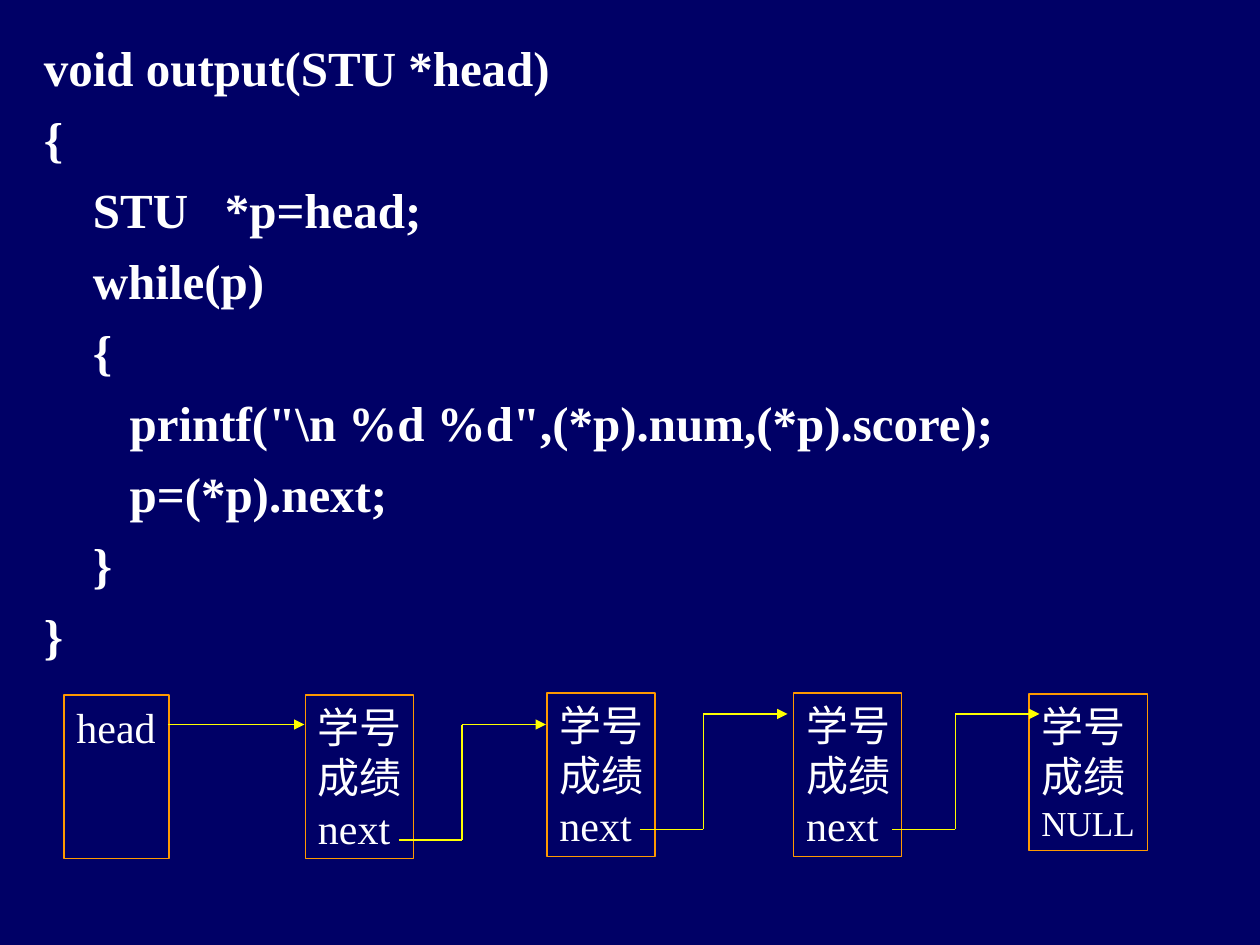
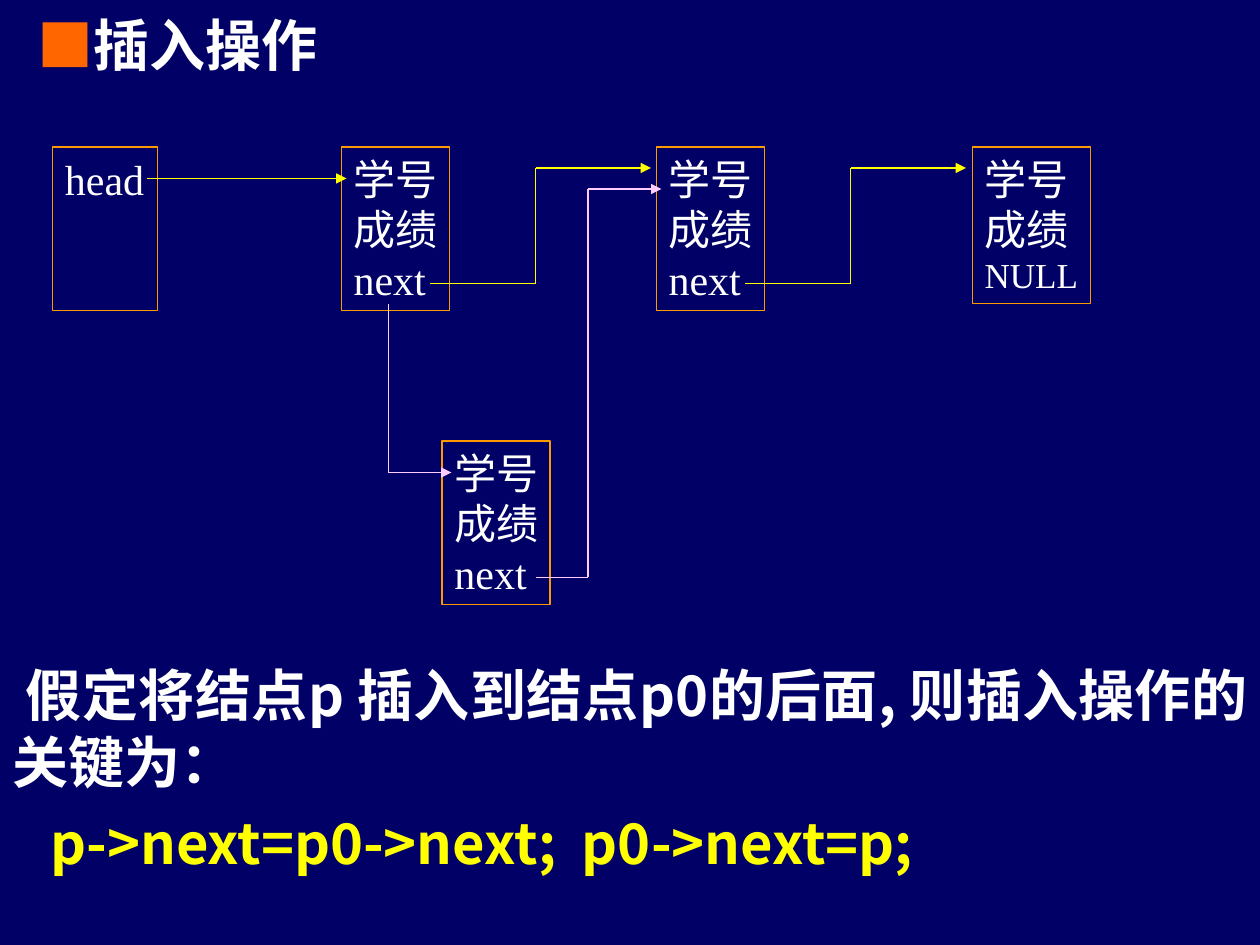
from dataclasses import dataclass
from itertools import pairwise

from lxml import etree
from pptx import Presentation
from pptx.dml.color import RGBColor
from pptx.enum.shapes import MSO_CONNECTOR, MSO_SHAPE
from pptx.enum.text import MSO_ANCHOR, PP_ALIGN
from pptx.oxml.ns import qn
from pptx.util import Inches, Pt

RECT = MSO_SHAPE.RECTANGLE
LINE = MSO_CONNECTOR.STRAIGHT
TOP = MSO_ANCHOR.TOP
LEFT, JUST = PP_ALIGN.LEFT, PP_ALIGN.JUSTIFY
CELL = Inches(1) / 12  # the slide is 120 columns by 90 rows


@dataclass(frozen=True)
class Theme:
    back: str = "000066"
    text: str = "FFFFFF"
    mark: str = "FF6600"
    edge: str = "FF9900"
    link: str = "FFFF00"
    fresh: str = "FFCCFF"
    serif: str = "Times New Roman"
    sans: str = "Noto Sans CJK SC"
    title: int = 32
    code: int = 28
    node: int = 24
    null: int = 20
    line: float = 0.75
    lead: float = 1.2


def grid(*cells):
    return [round(cell * CELL) for cell in cells]


class Deck:
    def __init__(self, theme):
        self.theme = theme
        self.file = Presentation()
        self.file.slide_width, self.file.slide_height = grid(120, 90)
        self.slide = None

    def page(self):
        self.slide = self.file.slides.add_slide(self.file.slide_layouts[6])
        fill = self.slide.background.fill
        fill.solid()
        fill.fore_color.rgb = RGBColor.from_string(self.theme.back)

    def style(self, para, size, face, color, bold=False, align=LEFT, gap=0):
        font = para.font
        font.size, font.bold, font.name = Pt(size), bold, face
        font.color.rgb = RGBColor.from_string(color)
        east = etree.Element(qn("a:ea"), typeface=self.theme.sans)
        font._element.find(qn("a:latin")).addnext(east)
        para.alignment = align
        para.line_spacing = Pt(size * self.theme.lead)
        para.space_before, para.space_after = Pt(0), Pt(gap)

    def indent(self, para, left=0, first=0):
        """Shift a whole paragraph, and its first line further, in cells."""
        props = para._p.get_or_add_pPr()
        for name, cells in (("marL", left), ("indent", first)):
            props.set(name, str(grid(cells)[0]))

    def lines(self, frame, texts):
        frame.text = "\n".join(texts)
        return frame.paragraphs

    def box(self, x, y, wide, high):
        frame = self.slide.shapes.add_textbox(*grid(x, y, wide, high)).text_frame
        frame.word_wrap = True
        frame.vertical_anchor = TOP
        return frame

    def code(self, rows):
        """Write (indent in cells, text) rows of source code."""
        look = self.theme
        frame = self.box(3, 3, 99, 62)
        paras = self.lines(frame, [text for _, text in rows])
        for para, (left, _) in zip(paras, rows):
            self.style(para, look.code, look.serif, look.text, True, JUST, 7)
            self.indent(para, left)

    def title(self, text):
        look = self.theme
        para = self.box(0, 0.4, 120, 8).paragraphs[0]
        self.style(para, look.title, look.sans, look.text, True)
        self.indent(para, 2.4)
        mark = para.add_run()
        mark.text = "■"
        mark.font.color.rgb = RGBColor.from_string(look.mark)
        para.add_run().text = text

    def note(self, text, key):
        look = self.theme
        paras = self.lines(self.box(0, 62.3, 120, 24.7), [text, key])
        for para, color, first in zip(paras, (look.text, look.link), (1.3, 3.6)):
            self.style(para, look.title, look.sans, color, True, JUST, 8)
            self.indent(para, first=first)

    def node(self, x, y, texts, wide=10.3, high=15.6):
        look = self.theme
        shape = self.slide.shapes.add_shape(RECT, *grid(x, y, wide, high))
        shape.shadow.inherit = False
        shape.fill.background()
        shape.line.color.rgb = RGBColor.from_string(look.edge)
        shape.line.width = Pt(look.line)
        frame = shape.text_frame
        frame.word_wrap = False
        frame.vertical_anchor = TOP
        for para, text in zip(self.lines(frame, texts), texts):
            size = look.null if text == "NULL" else look.node
            self.style(para, size, look.serif, look.text)

    def chain(self, head, items, tail):
        """Draw a linked list: head box, data nodes and the closing node."""
        self.node(*head, ["head"], wide=10)
        for spot in items:
            self.node(*spot, ["学号", "成绩", "next"])
        self.node(*tail, ["学号", "成绩", "NULL"], 11.3, 14.9)

    def route(self, color, *points):
        """Join points with straight lines, the last one ending in an arrow."""
        for start, end in pairwise(points):
            wire = self.slide.shapes.add_connector(LINE, *grid(*start, *end))
            wire.line.color.rgb = RGBColor.from_string(color)
            wire.line.width = Pt(self.theme.line)
            etree.SubElement(wire._element.spPr, qn("a:effectLst"))
        etree.SubElement(wire.line._get_or_add_ln(), qn("a:tailEnd"), type="triangle")

    def step(self, color, start, turn, end):
        """Route across to the turn column, along it, then across to the end."""
        self.route(color, start, (turn, start[1]), (turn, end[1]), end)


def output(deck):
    link = deck.theme.link
    deck.page()
    deck.code([
        (0, "void output(STU *head)"),
        (0, "{"),
        (4.67, "STU   *p=head;"),
        (4.67, "while(p)"),
        (4.67, "{"),
        (8.17, 'printf("\\n %d %d",(*p).num,(*p).score);'),
        (8.17, "p=(*p).next;"),
        (4.67, "}"),
        (0, "}"),
    ])
    deck.chain((6.1, 66.2), [(29.1, 66.2), (52.1, 66), (75.6, 66)], (98, 66.1))
    deck.route(link, (16, 69), (29, 69))
    deck.step(link, (38, 80), 44, (52, 69))
    for x in (61, 85):
        deck.step(link, (x, 79), x + 6, (x + 14, 68))


def insert(deck):
    link, fresh = deck.theme.link, deck.theme.fresh
    deck.page()
    deck.title("插入操作")
    deck.note("假定将结点p 插入到结点p0的后面, 则插入操作的关键为：",
              "p->next=p0->next;  p0->next=p;")
    deck.chain((5, 14), [(32.5, 14), (62.5, 14), (42.1, 42)], (92.6, 14))
    deck.route(link, (14, 17), (33, 17))
    for x in (41, 71):
        deck.step(link, (x, 27), x + 10, (x + 21, 16))
    deck.route(fresh, (37, 29), (37, 45), (43, 45))
    deck.step(fresh, (51, 55), 56, (63, 18))


def main():
    deck = Deck(Theme())
    output(deck)
    insert(deck)
    deck.file.save("out.pptx")


if __name__ == "__main__":
    main()
